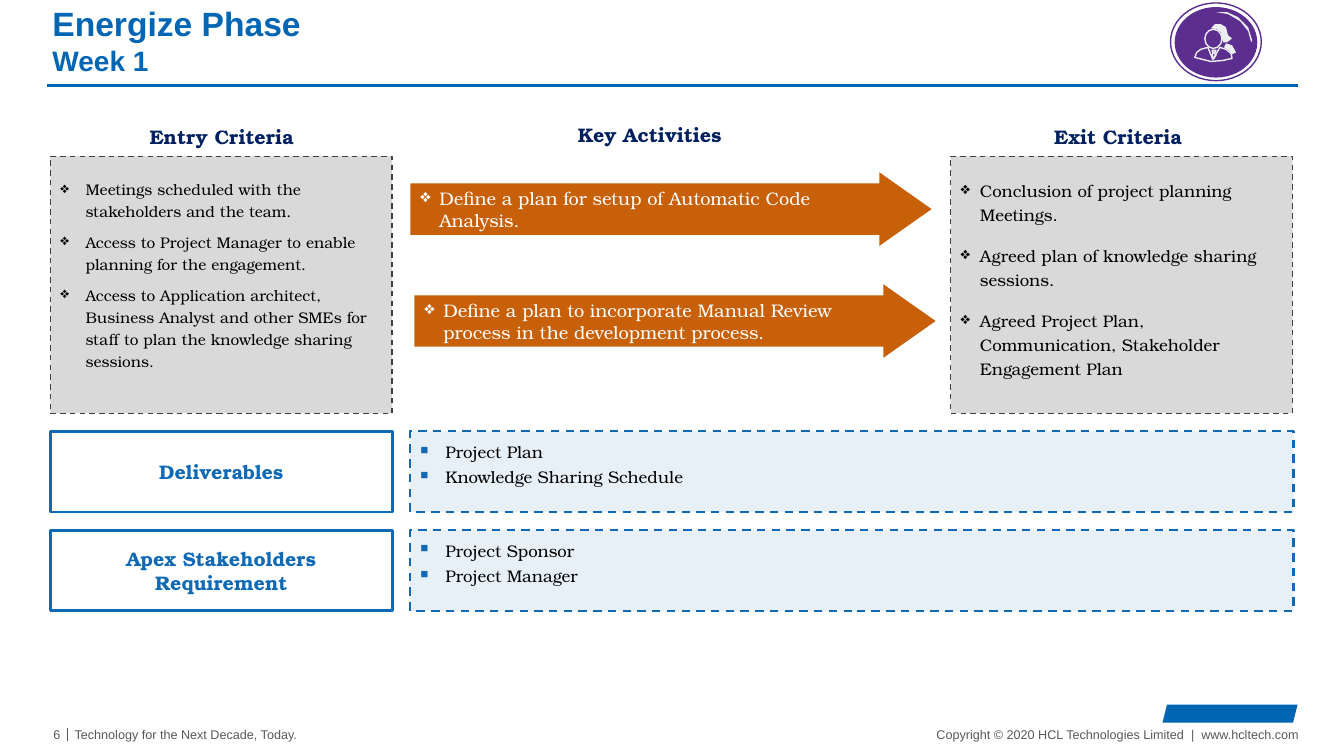
"""Build the Energize Phase slide: criteria, key activities and deliverables."""
from lxml.etree import SubElement
from pptx import Presentation
from pptx.dml.color import RGBColor
from pptx.enum.dml import MSO_LINE
from pptx.enum.shapes import MSO_CONNECTOR, MSO_SHAPE as SHAPE
from pptx.enum.text import MSO_ANCHOR as ANCHOR, PP_ALIGN as ALIGN
from pptx.oxml.ns import qn
from pptx.util import Pt

PX = 9144
SERIF, SANS = "TeX Gyre Bonum", "Arial"
COLORS = {
    "brand": "0066B3", "blue": "0F69B4", "pale": "E7F0F7", "navy": "002060",
    "orange": "C76009", "purple": "5C2E90", "light": "ECEDEF", "gray": "D9D9D9",
    "edge": "404040", "footer": "595959", "black": "000000", "white": "FFFFFF",
}
RGB = {name: RGBColor.from_string(value) for name, value in COLORS.items()}

prs = Presentation()
prs.slide_width, prs.slide_height = 1333 * PX, 750 * PX
s = prs.slides.add_slide(prs.slide_layouts[6])


def style(sp, fill=None, line=None, width=1, dash=False):
    """Set the fill and outline of a shape and return it."""
    sp.shadow.inherit = False
    for part, color in ((sp.fill, fill), (sp.line.fill, line)):
        if color:
            part.solid()
            part.fore_color.rgb = RGB[color]
        else:
            part.background()
    if line:
        sp.line.width = Pt(width)
        if dash:
            sp.line.dash_style = MSO_LINE.DASH
    return sp


def write(sp, lines, size, color, font=SERIF, bold=False, align=ALIGN.LEFT,
          anchor=ANCHOR.TOP, insets=(10, 5, 10, 5), gap=0, spacing=None,
          bullet=None, indent=0, bullet_color=None, bullet_size=100):
    """Fill a shape with one paragraph per line."""
    tf = sp.text_frame
    tf.word_wrap, tf.vertical_anchor = True, anchor
    for side, inset in zip(("left", "top", "right", "bottom"), insets):
        setattr(tf, f"margin_{side}", inset * PX)
    for i, text in enumerate(lines):
        p = tf.add_paragraph() if i else tf.paragraphs[0]
        p.alignment = align
        if bullet:
            pPr = p._p.get_or_add_pPr()
            pPr.set("marL", str(indent * PX))
            pPr.set("indent", str(-indent * PX))
            if bullet_color:
                clr = SubElement(pPr, qn("a:buClr"))
                SubElement(clr, qn("a:srgbClr"), val=COLORS[bullet_color])
            SubElement(pPr, qn("a:buSzPct"), val=str(bullet_size * 1000))
            SubElement(pPr, qn("a:buChar"), char=bullet)
        if spacing:
            p.line_spacing = spacing
        if i and gap:
            p.space_before = Pt(gap)
        r = p.add_run()
        r.text = text
        for name, value in {"size": Pt(size), "name": font, "bold": bold}.items():
            setattr(r.font, name, value)
        r.font.color.rgb = RGB[color]


rule = s.shapes.add_connector(MSO_CONNECTOR.STRAIGHT, 47 * PX, 85 * PX, 1287 * PX, 85 * PX)
divider = s.shapes.add_connector(MSO_CONNECTOR.STRAIGHT, 67 * PX, 722 * PX, 67 * PX, 735 * PX)
for cxn, color, width in ((rule, "brand", 2), (divider, "footer", 0.75)):
    cxn.line.color.rgb = RGB[color]
    cxn.line.width = Pt(width)
    SubElement(cxn._element.spPr, qn("a:effectLst"))

footers = [
    (40, 20, "6", ALIGN.RIGHT),
    (74, 260, "Technology for the Next Decade, Today.", ALIGN.LEFT),
    (888, 400, "Copyright © 2020 HCL Technologies Limited  |  www.hcltech.com", ALIGN.RIGHT),
]
for x, w, text, align in footers:
    sp = s.shapes.add_textbox(x * PX, 721 * PX, w * PX, 15 * PX)
    write(sp, [text], 9, "footer", SANS, align=align, anchor=ANCHOR.MIDDLE, insets=(0, 0, 0, 0))
style(s.shapes.add_shape(SHAPE.PARALLELOGRAM, 1153 * PX, 699 * PX, 134 * PX, 18 * PX), "brand")

title = s.shapes.add_textbox(47 * PX, 0, 300 * PX, 78 * PX)
write(title, ["Energize Phase", "Week 1"], 24, "brand", SANS, True, insets=(5, 3, 5, 5))
title.text_frame.paragraphs[1].runs[0].font.size = Pt(20)

headings = [(82, 119, 276, "Entry Criteria"), (526, 117, 237, "Key Activities"),
            (982, 119, 254, "Exit Criteria")]
for x, y, w, text in headings:
    sp = s.shapes.add_textbox(x * PX, y * PX, w * PX, 34 * PX)
    write(sp, [text], 14, "navy", bold=True, align=ALIGN.CENTER)

criteria = [
    (50, 11, 25, 6, [
        "Meetings scheduled with the stakeholders and the team.",
        "Access to Project Manager to enable planning for the engagement.",
        "Access to Application architect, Business Analyst and other SMEs for "
        "staff to plan the knowledge sharing sessions."]),
    (943, 12, 19, 12, [
        "Conclusion of project planning Meetings.",
        "Agreed plan of knowledge sharing sessions.",
        "Agreed Project Plan, Communication, Stakeholder Engagement Plan"]),
]
for x, size, indent, gap, lines in criteria:
    sp = s.shapes.add_shape(SHAPE.RECTANGLE, x * PX, 155 * PX, 339 * PX, 255 * PX)
    style(sp, "gray", "edge", dash=True)
    write(sp, lines, size, "black", insets=(10, 20, 10, 5), gap=gap, spacing=1.2,
          bullet="❖", indent=indent)

activities = [
    (407, 171, "Define a plan for setup of Automatic Code Analysis."),
    (411, 282, "Define a plan to incorporate Manual Review process in the development process."),
]
for x, y, text in activities:
    sp = s.shapes.add_shape(SHAPE.RIGHT_ARROW, x * PX, y * PX, 517 * PX, 73 * PX)
    sp.adjustments[0], sp.adjustments[1] = 0.7, 0.71
    style(sp, "orange")
    write(sp, [text], 13, "white", anchor=ANCHOR.MIDDLE, bullet="❖", indent=19)

rows = [
    (428, ["Deliverables"], ["Project Plan", "Knowledge Sharing Schedule"]),
    (526, ["Apex Stakeholders", "Requirement"], ["Project Sponsor", "Project Manager"]),
]
for y, label, items in rows:
    sp = s.shapes.add_shape(SHAPE.RECTANGLE, 50 * PX, y * PX, 339 * PX, 80 * PX)
    style(sp, "white", "blue", 2)
    write(sp, label, 14, "blue", bold=True, align=ALIGN.CENTER, anchor=ANCHOR.MIDDLE)
    sp = s.shapes.add_shape(SHAPE.RECTANGLE, 407 * PX, y * PX, 876 * PX, 80 * PX)
    style(sp, "pale", "blue", 1.5, True)
    write(sp, items, 12, "black", insets=(10, 10, 10, 10), gap=4, bullet="■",
          indent=25, bullet_color="blue", bullet_size=65)

ovals = [
    (1161, 3, 90, 77, None, "purple"),
    (1165, 7, 82, 70, "purple", None),
    (1195, 29, 17, 19, None, "light"),
]
for x, y, w, h, fill, line in ovals:
    style(s.shapes.add_shape(SHAPE.OVAL, x * PX, y * PX, w * PX, h * PX), fill, line)

highlight = [(1206, 12), (1217, 12), (1228, 17), (1238, 27), (1242, 40), (1241, 42),
             (1238, 31), (1230, 21), (1218, 14)]
hair = [(1201, 28), (1205, 24), (1211, 24), (1216, 27), (1218, 35), (1222, 38),
        (1217, 42), (1213, 42), (1211, 32), (1207, 29)]
shoulder = [(1214, 47), (1216, 43), (1222, 45), (1226, 52), (1222, 54), (1219, 50)]
body = [(1185, 57), (1187, 52), (1191, 49), (1198, 47), (1203, 59), (1210, 47),
        (1216, 49), (1221, 53), (1222, 58), (1213, 60), (1201, 61)]
knot = [(1202, 50), (1206, 50), (1205, 52), (1203, 52)]
tie = [(1203, 53), (1205, 53), (1206, 55), (1204, 58), (1202, 55)]
outlines = [(highlight, "light", None), (hair, "light", None), (shoulder, "light", None),
            (body, None, "light"), (knot, None, "light"), (tie, None, "light")]
for points, fill, line in outlines:
    builder = s.shapes.build_freeform(*points[0], scale=PX)
    builder.add_line_segments(points[1:], close=True)
    style(builder.convert_to_shape(), fill, line)

prs.save("out.pptx")
